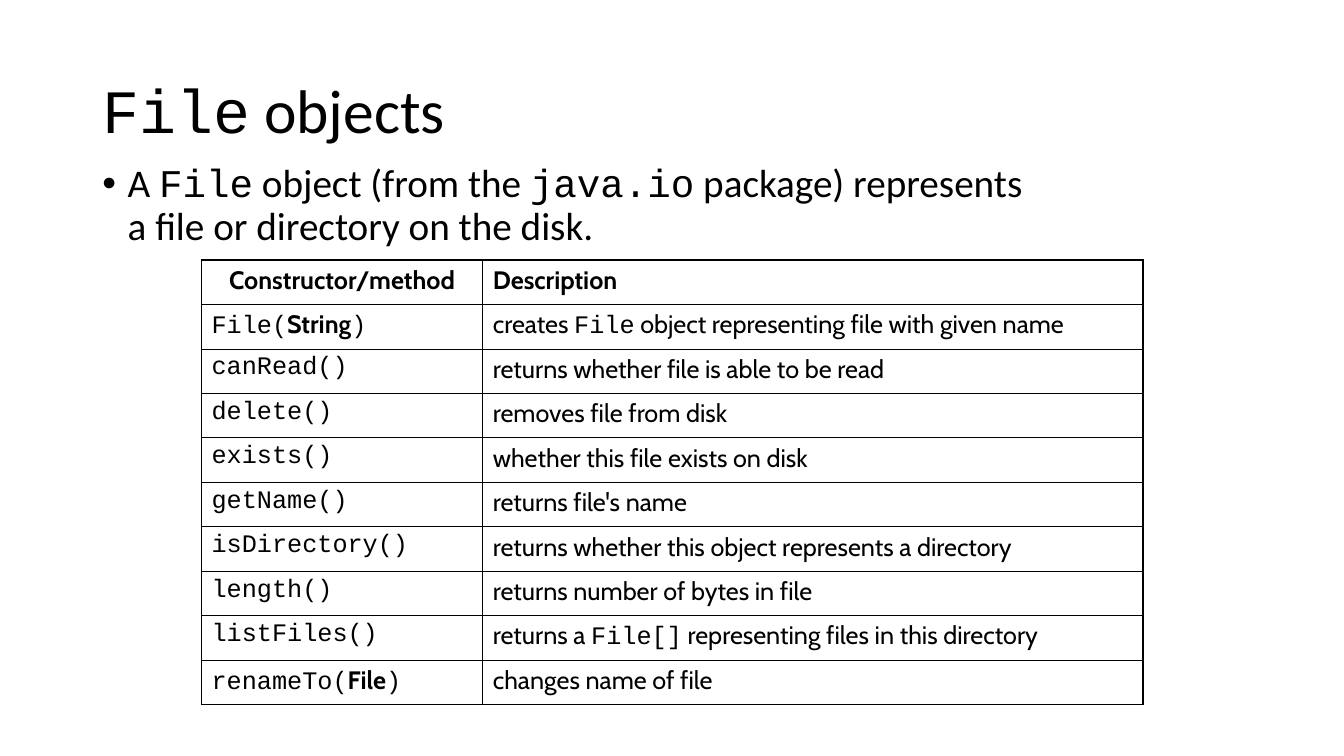
from lxml import etree
from pptx import Presentation
from pptx import util as u
from pptx.dml.color import RGBColor
from pptx.enum import text
from pptx.oxml import ns

CODE, BODY, CELL = "Courier New", "Calibri", "Cabin"
INK, PAPER = "000000", "FFFFFF"
THIN, THICK = 0.45, 1.08


def colour(value):
    return RGBColor.from_string(value)


def add_spans(para, size, *spans):
    """Add (text, font) or (text, font, bold) runs to a paragraph."""
    for words, font, *bold in spans:
        span = para.add_run()
        span.text = words
        span.font.name = font
        span.font.size = u.Pt(size)
        span.font.bold = bool(bold)
        span.font.color.rgb = colour(INK)


deck = Presentation()
deck.slide_width, deck.slide_height = u.Cm(33.88), u.Cm(19.05)
page = deck.slides.add_slide(deck.slide_layouts[6])
page.background.fill.solid()
page.background.fill.fore_color.rgb = colour(PAPER)

# Title
title = page.shapes.add_textbox(u.Cm(2.33), u.Cm(1.01), u.Cm(29.21), u.Cm(3.68)).text_frame
title.word_wrap = True
title.vertical_anchor = text.MSO_ANCHOR.MIDDLE
heading = title.paragraphs[0]
heading.line_spacing = 0.9
add_spans(heading, 44, ("File", CODE), (" objects", BODY))

# Bullet
body = page.shapes.add_textbox(u.Cm(2.33), u.Cm(4.01), u.Cm(29.21), u.Cm(12.09)).text_frame
body.word_wrap = True
point = body.paragraphs[0]
point.line_spacing = 0.9
indent = point._p.get_or_add_pPr()
indent.set("marL", str(u.Cm(0.64)))
indent.set("indent", str(-u.Cm(0.64)))
etree.SubElement(indent, ns.qn("a:buFont"), typeface="Arial")
etree.SubElement(indent, ns.qn("a:buChar"), char="•")
add_spans(point, 28, ("A ", BODY), ("File", CODE), (" object (from the ", BODY),
          ("java.io", CODE), (" package) represents", BODY))
point.add_line_break()
add_spans(point, 28, ("a file or directory on the disk.", BODY))

# Table of methods: each cell is a list of spans
rows = [
    ([("Constructor/method", CELL, True)], [("Description", CELL, True)]),
    ([("File(", CODE), ("String", CELL, True), (")", CODE)],
     [("creates ", CELL), ("File", CODE), (" object representing file with given name", CELL)]),
    ([("canRead()", CODE)], [("returns whether file is able to be read", CELL)]),
    ([("delete()", CODE)], [("removes file from disk", CELL)]),
    ([("exists()", CODE)], [("whether this file exists on disk", CELL)]),
    ([("getName()", CODE)], [("returns file's name", CELL)]),
    ([("isDirectory()", CODE)], [("returns whether this object represents a directory", CELL)]),
    ([("length()", CODE)], [("returns number of bytes in file", CELL)]),
    ([("listFiles()", CODE)],
     [("returns a ", CELL), ("File[]", CODE), (" representing files in this directory", CELL)]),
    ([("renameTo(", CODE), ("File", CELL, True), (")", CODE)], [("changes name of file", CELL)]),
]
widths = [u.Cm(7.09), u.Cm(16.64)]
row_height = u.Cm(1.12)
table = page.shapes.add_table(len(rows), len(widths), u.Cm(5.08), u.Cm(6.55),
                              sum(widths), row_height * len(rows)).table
table.first_row = table.horz_banding = False
for column, width in zip(table.columns, widths):
    column.width = width

for r, row in enumerate(rows):
    table.rows[r].height = row_height
    for c, spans in enumerate(row):
        cell = table.cell(r, c)
        add_spans(cell.text_frame.paragraphs[0], 18, *spans)
        outer_edges = {"lnL": c == 0, "lnR": c == len(widths) - 1,
                       "lnT": r == 0, "lnB": r == len(rows) - 1}
        for edge, is_outer in outer_edges.items():
            line = etree.SubElement(cell._tc.get_or_add_tcPr(), ns.qn(f"a:{edge}"),
                                    w=str(u.Pt(THICK if is_outer else THIN)))
            fill = etree.SubElement(line, ns.qn("a:solidFill"))
            etree.SubElement(fill, ns.qn("a:srgbClr"), val=INK)
        cell.fill.solid()
        cell.fill.fore_color.rgb = colour(PAPER)
table.cell(0, 0).text_frame.paragraphs[0].alignment = text.PP_ALIGN.CENTER

deck.save("out.pptx")
